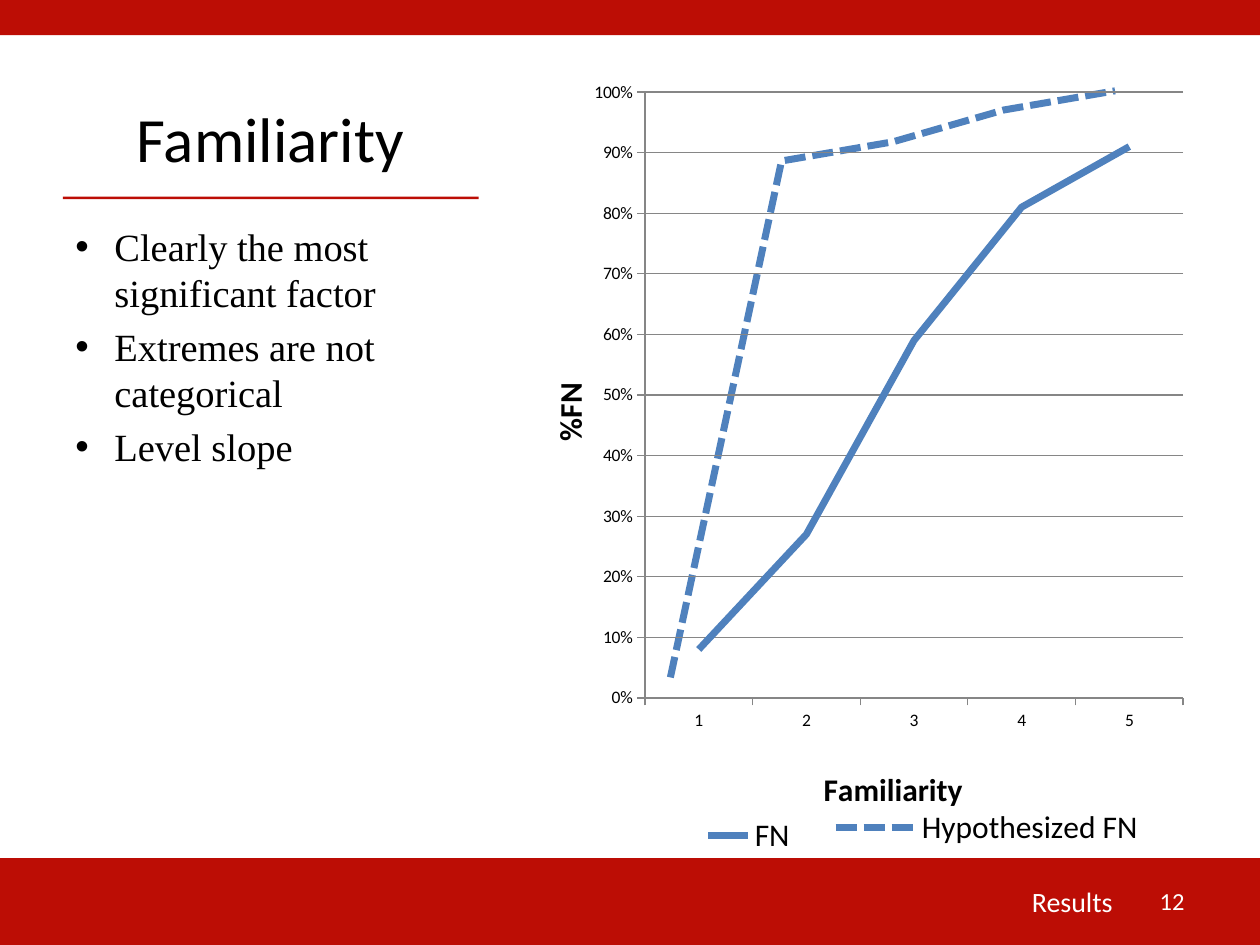
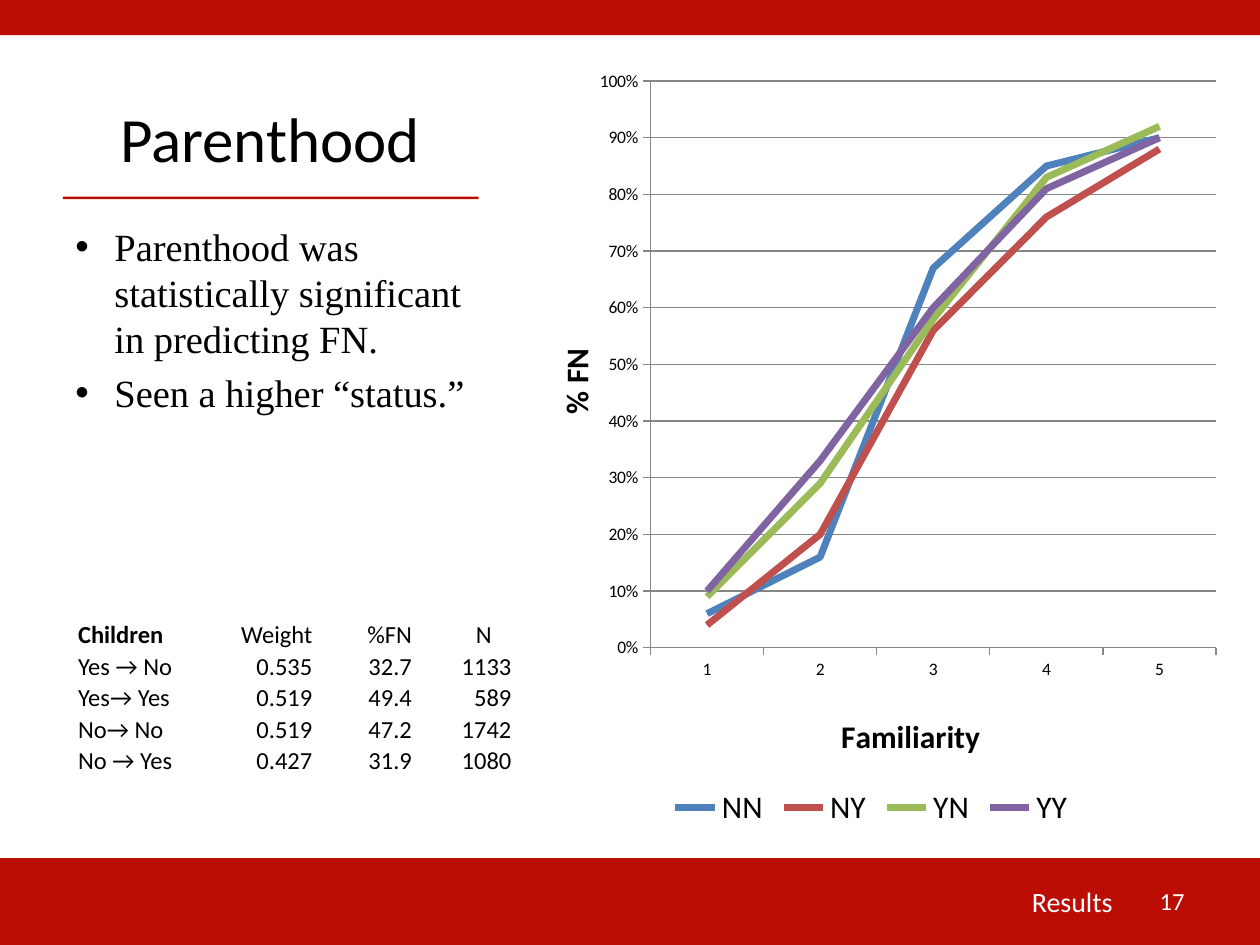
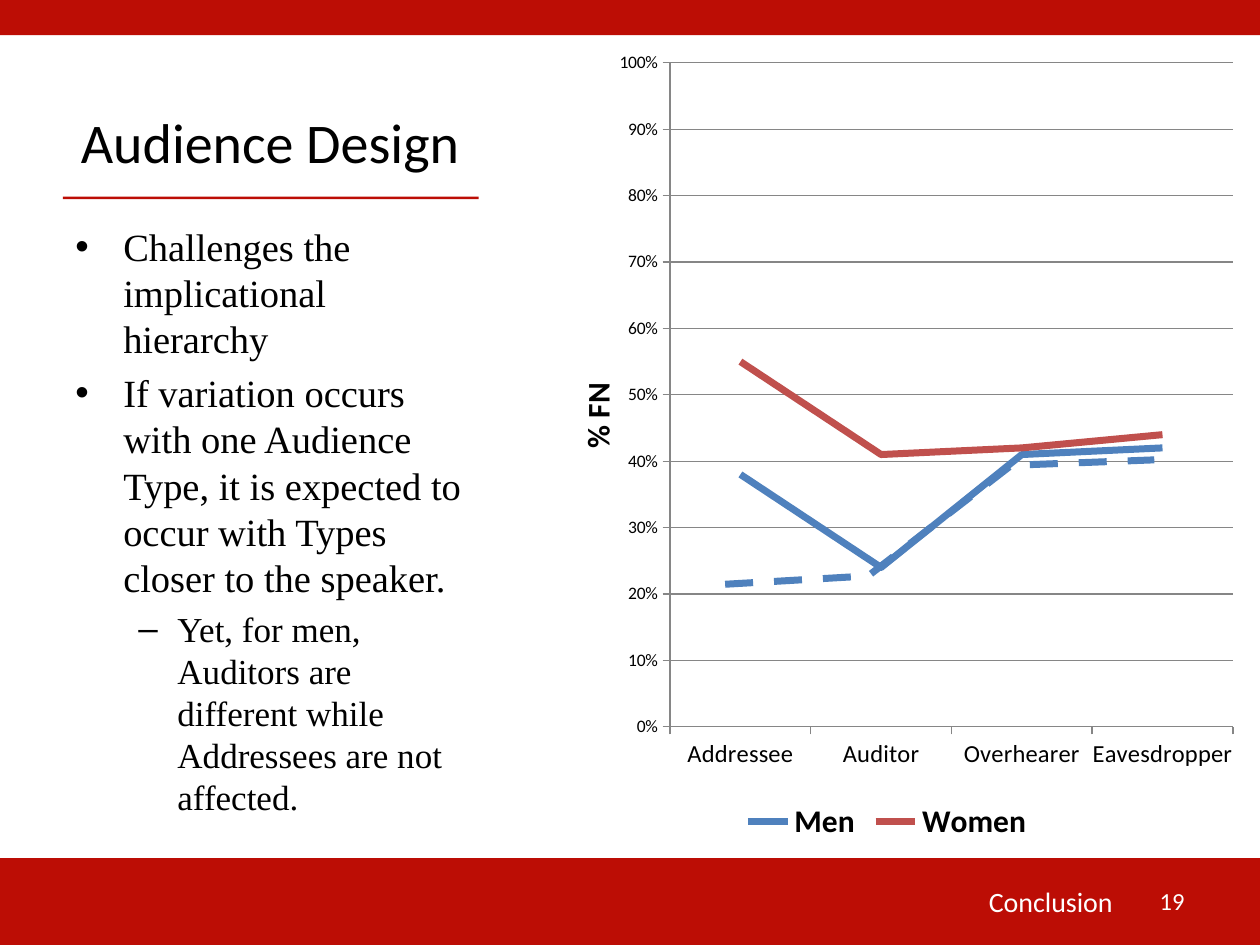
from lxml import etree
from pptx import Presentation
from pptx.chart.data import CategoryChartData
from pptx.dml.color import RGBColor
from pptx.enum.chart import XL_CHART_TYPE, XL_LEGEND_POSITION, XL_TICK_MARK
from pptx.enum.dml import MSO_LINE
from pptx.enum.shapes import MSO_SHAPE
from pptx.enum.text import MSO_ANCHOR, PP_ALIGN
from pptx.oxml import parse_xml
from pptx.oxml.ns import qn
from pptx.util import Inches, Pt

LINE, BELOW = XL_CHART_TYPE.LINE, XL_LEGEND_POSITION.BOTTOM
OUT, NONE = XL_TICK_MARK.OUTSIDE, XL_TICK_MARK.NONE
DASH, SHORT = MSO_LINE.DASH, MSO_LINE.SQUARE_DOT
RECT = MSO_SHAPE.RECTANGLE
TOP, MID, BASE = MSO_ANCHOR.TOP, MSO_ANCHOR.MIDDLE, MSO_ANCHOR.BOTTOM
LEFT, MIDST, RIGHT = PP_ALIGN.LEFT, PP_ALIGN.CENTER, PP_ALIGN.RIGHT

COLS, ROWS = 10, 7.5
RED, BLACK, WHITE, GRAY = "BC0D05", "000000", "FFFFFF", "868686"
BLUE, BRICK, GREEN, PLUM = "4F81BD", "C0504D", "9BBB59", "8064A2"
SANS, SERIF = "Calibri", "Times New Roman"
NS = ('xmlns:c="http://schemas.openxmlformats.org/drawingml/2006/chart" '
      'xmlns:a="http://schemas.openxmlformats.org/drawingml/2006/main"')
MARKS = {0: ("•", 22), 1: ("–", 20)}


def color(text):
    """Turn a hex string into a colour."""
    return RGBColor.from_string(text)


def span(box):
    """Turn grid columns and rows into lengths."""
    return [Inches(part) for part in box]


def style(font, size, name=SANS, tint=BLACK, bold=False):
    """Give a font its format values."""
    for key, value in {"size": Pt(size), "name": name, "bold": bold}.items():
        setattr(font, key, value)
    font.color.rgb = color(tint)


def bar(slide, box):
    """Draw one plain red bar."""
    shape = slide.shapes.add_shape(RECT, *span(box))
    shape.shadow.inherit = False
    shape.fill.solid()
    shape.fill.fore_color.rgb = color(RED)
    shape.line.fill.background()


def frame(slide, box, anchor):
    """Add a wrapping text box and return its frame."""
    body = slide.shapes.add_textbox(*span(box)).text_frame
    body.word_wrap, body.vertical_anchor = True, anchor
    return body


def label(slide, box, text, size, align, anchor=MID, tint=WHITE):
    """Write one line of text in a box."""
    para = frame(slide, box, anchor).paragraphs[0]
    para.alignment = align
    run = para.add_run()
    run.text = text
    style(run.font, size, tint=tint)


def bullets(slide, box, items, hang):
    """List the points, each with its level and mark."""
    body = frame(slide, box, TOP)
    for spot, (level, text) in enumerate(items):
        para = body.add_paragraph() if spot else body.paragraphs[0]
        mark, size = MARKS[level]
        para.level, para.space_before = level, Pt(size * 0.2)
        left, dent = (0.81, 0.31) if level else (hang, hang)
        props = para._p.get_or_add_pPr()
        props.set("marL", str(Inches(left)))
        props.set("indent", str(-Inches(dent)))
        etree.SubElement(props, qn("a:buFont")).set("typeface", "Arial")
        etree.SubElement(props, qn("a:buChar")).set("char", mark)
        run = para.add_run()
        run.text = text
        style(run.font, size, SERIF)


def base(deck, title, size, part, page):
    """Start a slide with its bands, title, rule and footer."""
    slide = deck.slides.add_slide(deck.slide_layouts[6])
    for box in ((0, 6.81, COLS, 0.69), (0, 0, COLS, 0.28), (0.5, 1.56, 3.3, 0.02)):
        bar(slide, box)
    label(slide, (0.5, 0.3, 3.29, 1.14), title, size, MIDST, BASE, BLACK)
    label(slide, (5.76, 6.95, 3.17, 0.4), part, 16, RIGHT)
    label(slide, (8.97, 6.95, 0.53, 0.4), page, 14, RIGHT)
    return slide


def layout(box, inner=False):
    """Make a manual layout from shares of the chart."""
    tags = '<c:layoutTarget val="inner"/>' if inner else ""
    tags += '<c:xMode val="edge"/><c:yMode val="edge"/>'
    tags += "".join(f'<c:{key} val="{part}"/>' for key, part in zip("xywh", box))
    return parse_xml(f"<c:layout {NS}><c:manualLayout>{tags}</c:manualLayout></c:layout>")


def pin(node, box, after=None, inner=False):
    """Swap in a manual layout after the named child, or first."""
    for old in node.findall(qn("c:layout")):
        node.remove(old)
    spot = node.index(node.find(qn(after))) + 1 if after else 0
    node.insert(spot, layout(box, inner))


def clear(chart):
    """Make the chart and its plot see-through."""
    blank = f"<c:spPr {NS}><a:noFill/><a:ln><a:noFill/></a:ln></c:spPr>"
    core = chart._chartSpace.find(qn("c:chart"))
    core.addnext(parse_xml(blank))
    core.find(qn("c:plotArea")).append(parse_xml(blank))


def name(axis, text, spot):
    """Title an axis at a place in the chart."""
    axis.has_title = True
    para = axis.axis_title.text_frame.paragraphs[0]
    run = para.add_run()
    run.text = text
    style(run.font, 18, bold=True)
    pin(axis.axis_title._element, spot, "c:tx")


def scale(chart, top, shown, size):
    """Set both axes, or hide them."""
    cat, val = chart.category_axis, chart.value_axis
    for key, value in {"minimum_scale": 0, "maximum_scale": top,
                       "major_unit": top / 10, "has_major_gridlines": shown}.items():
        setattr(val, key, value)
    val.tick_labels.number_format = "0%"
    val.tick_labels.number_format_is_linked = False
    for axis, points in ((cat, size), (val, 10)):
        axis.visible = shown
        axis.major_tick_mark, axis.minor_tick_mark = OUT, NONE
        if shown:
            style(axis.tick_labels.font, points)
    if shown:
        for line in (cat.format.line, val.format.line, val.major_gridlines.format.line):
            line.color.rgb, line.width = color(GRAY), Pt(0.75)


def graph(slide, box, cats, rows, plot, top=1, shown=True, size=10, dash=None,
          names=(), key=True, bold=False, spot=None):
    """Draw a line chart inside a box."""
    data = CategoryChartData(number_format="0%")
    data.categories = cats
    for title, _, vals in rows:
        data.add_series(title, vals)
    chart = slide.shapes.add_chart(LINE, *span(box), data).chart
    chart.has_title = False
    style(chart.font, 10)
    scale(chart, top, shown, size)
    for axis, (text, place) in zip((chart.value_axis, chart.category_axis), names):
        name(axis, text, place)
    chart.plots[0].vary_by_categories = False
    for series, (_, tint, _) in zip(chart.plots[0].series, rows):
        series.smooth = False
        line = series.format.line
        line.color.rgb, line.width = color(tint), Pt(4)
        if dash:
            line.dash_style = dash
    chart.has_legend = key
    if key:
        chart.legend.position, chart.legend.include_in_layout = BELOW, False
        style(chart.legend.font, 18, bold=bold)
        if spot:
            pin(chart.legend._element, spot, "c:legendPos")
    pin(chart._chartSpace.find(qn("c:chart")).find(qn("c:plotArea")), plot, inner=True)
    clear(chart)


def grid(slide, box, rows, wide):
    """Set out a plain table with a bold first word."""
    table = slide.shapes.add_table(len(rows), len(wide), *span(box)).table
    table.first_row = table.horz_banding = False
    for col, part in zip(table.columns, wide):
        col.width = Inches(part)
    for y, row in enumerate(rows):
        table.rows[y].height = Inches(0.25)
        for x, text in enumerate(row):
            cell = table.cell(y, x)
            cell.fill.background()
            for side in ("left", "right", "top"):
                setattr(cell, f"margin_{side}", Inches(0.01))
            cell.margin_bottom, cell.vertical_anchor = 0, BASE
            para = cell.text_frame.paragraphs[0]
            para.text, para.alignment = text, RIGHT if x else LEFT
            style(para.font, 14)
            for run in para.runs:
                style(run.font, 14, bold=x == y == 0)
    last = table.cell(0, len(wide) - 1)
    last.margin_left = Inches(0.34)
    last.text_frame.paragraphs[0].alignment = MIDST


def known(deck):
    """Build the slide on familiarity."""
    slide = base(deck, "Familiarity", 36, "Results", "12")
    bullets(slide, (0.5, 1.72, 3.29, 4.98),
            [(0, "Clearly the most significant factor"),
             (0, "Extremes are not categorical"), (0, "Level slope")], 0.31)
    graph(slide, (4.34, 0.54, 5.29, 6.48), "12345",
          [("Hypothesized FN", BLUE, (8, 89, 92, 97, 100))],
          (0.102, 0.028, 0.834, 0.781), top=100, shown=False, dash=SHORT,
          spot=(0.42, 0.9, 0.48, 0.06))
    graph(slide, (4.03, 0.53, 5.47, 6.49), "12345",
          [("FN", BLUE, (0.08, 0.27, 0.59, 0.81, 0.91))],
          (0.199, 0.031, 0.781, 0.741),
          names=(("%FN", (0.05, 0.38)), ("Familiarity", (0.45, 0.85))),
          spot=(0.26, 0.91, 0.18, 0.06))


def family(deck):
    """Build the slide on parenthood."""
    slide = base(deck, "Parenthood", 36, "Results", "17")
    bullets(slide, (0.5, 1.72, 3.29, 2.62),
            [(0, "Parenthood was statistically significant in predicting FN."),
             (0, "Seen a higher “status.”")], 0.31)
    grid(slide, (0.61, 4.91, 3.46, 1.5),
         [("Children", "Weight", "%FN", "N"),
          ("Yes → No", "0.535", "32.7", "1133"),
          ("Yes→ Yes", "0.519", "49.4", "589"),
          ("No→ No", "0.519", "47.2", "1742"),
          ("No → Yes", "0.427", "31.9", "1080"),
          ("", "", "", "")], (1.19, 0.69, 0.79, 0.79))
    graph(slide, (4.07, 0.44, 5.69, 6.17), "12345",
          [("NN", BLUE, (0.06, 0.16, 0.67, 0.85, 0.9)),
           ("NY", BRICK, (0.04, 0.2, 0.56, 0.76, 0.88)),
           ("YN", GREEN, (0.09, 0.29, 0.58, 0.83, 0.92)),
           ("YY", PLUM, (0.1, 0.33, 0.6, 0.81, 0.9))],
          (0.192, 0.033, 0.789, 0.729),
          names=(("% FN", (0.05, 0.37)), ("Familiarity", (0.45, 0.84))))


def crowd(deck):
    """Build the slide on audience design."""
    slide = base(deck, "Audience Design", 32, "Conclusion", "19")
    bullets(slide, (0.5, 1.72, 3.29, 4.98),
            [(0, "Challenges the implicational hierarchy"),
             (0, "If variation occurs with one Audience Type, it is expected "
                 "to occur with Types closer to the speaker."),
             (1, "Yet, for men, Auditors are different while Addressees "
                 "are not affected.")], 0.38)
    graph(slide, (4.18, 0.3, 5.72, 6.42),
          ("Addressee", "Auditor", "Overhearer", "Eavesdropper"),
          [("Men", BLUE, (0.38, 0.24, 0.41, 0.42)),
           ("Women", BRICK, (0.55, 0.41, 0.42, 0.44))],
          (0.199, 0.031, 0.781, 0.821), size=14, bold=True,
          names=(("% FN", (0.06, 0.42)),))
    graph(slide, (4.21, 0.2, 5.75, 6.61), "1234",
          [("Series 1", BLUE, (55, 58, 98, 100))],
          (0.17, 0.054, 0.79, 0.8), top=241, shown=False, dash=DASH, key=False)


def main():
    """Build and save the deck."""
    deck = Presentation()
    deck.slide_width, deck.slide_height = span((COLS, ROWS))
    for make in (known, family, crowd):
        make(deck)
    deck.save("out.pptx")


if __name__ == "__main__":
    main()
